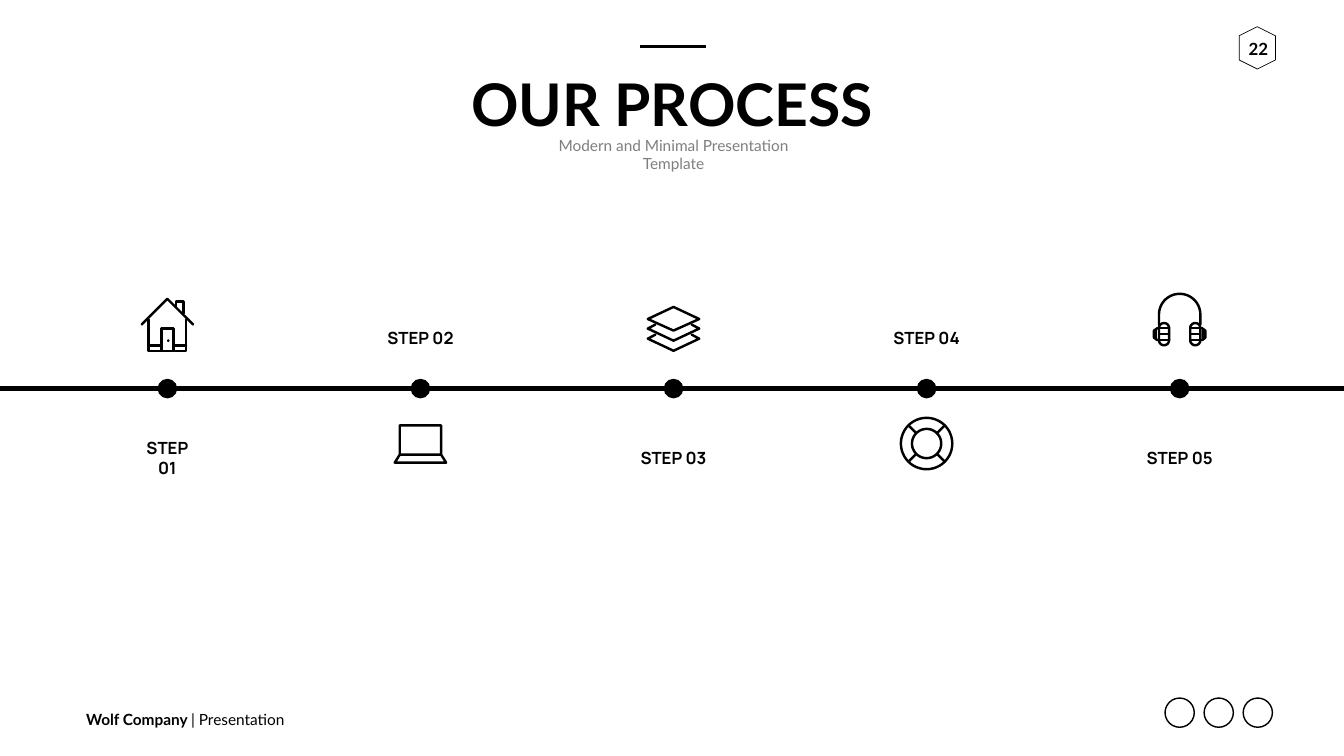
import math
import pptx
import pptx.util
import pptx.dml.color
import pptx.enum.shapes
import pptx.enum.text
import pptx.oxml.ns
import lxml.etree

INK = {"black": "000000", "gray": "7F7F7F"}
WIDE, HIGH = 26.66, 15
MID = WIDE / 2

# Text: runs, centre x, centre y, width, height, format
HEAD = [
    ([("OUR PROCESS", True)], MID, 2.04, 8.6, 1.51, {"size": 84}),
    ([("Modern and Minimal Presentation Template", False)], 13.36, 3.06, 5.96, 0.47,
     {"size": 22, "ink": "gray"}),
    ([("22", True)], 24.96, 0.96, 0.95, 0.61, {"size": 24}),
    ([("Wolf Company ", True), ("| Presentation", False)], 3.81, 14.27, 4.4, 0.47,
     {"size": 22, "align": "LEFT"}),
]

# Timeline: label, label width, icon, icon centre y
STEPS = [
    ("STEP 01", 1.45, "home", 6.44),
    ("STEP 02", 1.6, "laptop", 8.8),
    ("STEP 03", 1.6, "layers", 6.52),
    ("STEP 04", 1.6, "ring", 8.8),
    ("STEP 05", 1.6, "phones", 6.34),
]
FIRST, PITCH, AXIS, DOT = 3.32, 5.02, 7.71, 0.39
OVER, UNDER = 6.7, 9.09
RULES = [(12.7, 14, 0.92, 4.5), (0, WIDE, AXIS, 6)]
BADGE = {"x": 23.4, "y": 14.14, "gap": 0.775, "size": 0.58, "count": 3}


# Icon strokes, in hundredths of an inch from the icon centre
def arc(x, y, r, start=0, end=360):
    turns = [math.radians(start + (end - start) * i / 48) for i in range(49)]
    return [(x + r * math.cos(t), y + r * math.sin(t)) for t in turns]


def flip(lines):
    return lines + [[(-x, y) for x, y in line] for line in lines]


pad = arc(31, 17, 10, 180, 360) + arc(31, 41, 10, 0, 180) + [(21, 17)]
ear = [pad, [(44, 17), (51, 22), (51, 36), (44, 41)], [(47, 20), (47, 39)]]
ear += [[(21, y), (41, y)] for y in (17, 29, 41)]

ICONS = {
    "home": [
        [(-51, 0), (0, -51), (51, 0)],
        [(-37, -10), (-37, 52), (37, 52), (37, -10)],
        [(17, -36), (17, -46), (32, -46), (32, -22)],
        [(-12, 52), (-12, 8), (12, 8), (12, 52)],
        arc(2, 32, 0.2),
    ] + flip([[(12, 42), (37, 42)]]),
    "laptop": [
        [(-41, 22), (-41, -36), (41, -36), (41, 22), (-41, 22),
         (-51, 38), (51, 38), (41, 22)],
    ],
    "layers": [[(0, -43), (51, -19), (0, 4), (-51, -19), (0, -43)]] + [
        [(-36, y - 8), (-51, y), (0, y + 24), (51, y), (36, y - 8)] for y in (0, 20)
    ],
    "ring": [arc(0, 0, 51), arc(0, 0, 29)]
    + flip([[(20.5, s * 20.5), (36, s * 36)] for s in (-1, 1)]),
    "phones": [[(-41, 10)] + arc(0, -10, 41, 180, 360) + [(41, 10)]] + flip(ear),
}

deck = pptx.Presentation()
deck.slide_width = pptx.util.Inches(WIDE)
deck.slide_height = pptx.util.Inches(HIGH)
slide = deck.slides.add_slide(deck.slide_layouts[6])
KIND = pptx.enum.shapes.MSO_SHAPE


def tint(name):
    return pptx.dml.color.RGBColor.from_string(INK[name])


def frame(x, y, w, h):
    return [pptx.util.Inches(v) for v in (x - w / 2, y - h / 2, w, h)]


def paint(item, fill=None, line=None):
    item.shadow.inherit = False
    if fill:
        item.fill.solid()
        item.fill.fore_color.rgb = tint(fill)
    else:
        item.fill.background()
    if line:
        item.line.color.rgb = tint("black")
        item.line.width = pptx.util.Pt(line)
    else:
        item.line.fill.background()


def write(runs, x, y, w, h, size, ink="black", face="Lato", align="CENTER"):
    text = slide.shapes.add_textbox(*frame(x, y, w, h)).text_frame
    text.word_wrap = True
    text.vertical_anchor = pptx.enum.text.MSO_ANCHOR.MIDDLE
    para = text.paragraphs[0]
    para.alignment = pptx.enum.text.PP_ALIGN[align]
    for words, bold in runs:
        run = para.add_run()
        run.text = words
        run.font.color.rgb = tint(ink)
        form = {"size": pptx.util.Pt(size), "name": face, "bold": bold}
        for key, value in form.items():
            setattr(run.font, key, value)


def shape(kind, x, y, w, h, **form):
    item = slide.shapes.add_shape(kind, *frame(x, y, w, h))
    paint(item, **form)
    return item


def rule(left, right, y, width):
    ends = [pptx.util.Inches(v) for v in (left, y, right, y)]
    item = slide.shapes.add_connector(pptx.enum.shapes.MSO_CONNECTOR.STRAIGHT, *ends)
    item.line.color.rgb = tint("black")
    item.line.width = pptx.util.Pt(width)
    lxml.etree.SubElement(item._element.spPr, pptx.oxml.ns.qn("a:effectLst"))


def draw(lines, x, y):
    paths = [[(pptx.util.Inches(x + a / 100), pptx.util.Inches(y + b / 100))
              for a, b in line] for line in lines]
    pen = slide.shapes.build_freeform(*paths[0][0])
    for i, path in enumerate(paths):
        if i:
            pen.move_to(*path[0])
        pen.add_line_segments(path[1:], close=False)
    item = pen.convert_to_shape()
    paint(item, line=3.5)
    edge = item.line._get_or_add_ln()
    edge.set("cap", "rnd")
    lxml.etree.SubElement(edge, pptx.oxml.ns.qn("a:round"))


# Page badge and footer circles
shape(KIND.HEXAGON, 24.94, 0.95, 0.84, 0.72, line=1).rotation = 90
for i in range(BADGE["count"]):
    shape(KIND.OVAL, BADGE["x"] + i * BADGE["gap"], BADGE["y"],
          BADGE["size"], BADGE["size"], line=2)

# Heading, page number and footer
for *place, form in HEAD:
    write(*place, **form)
for part in RULES:
    rule(*part)

# Timeline: label and icon on opposite sides of the axis
for i, (name, wide, icon, level) in enumerate(STEPS):
    x = FIRST + i * PITCH
    shape(KIND.OVAL, x, AXIS, DOT, DOT, fill="black")
    draw(ICONS[icon], x, level)
    write([(name, True)], x, OVER if level > AXIS else UNDER, wide, 0.5,
          size=24, face="Manrope")

deck.save("out.pptx")
